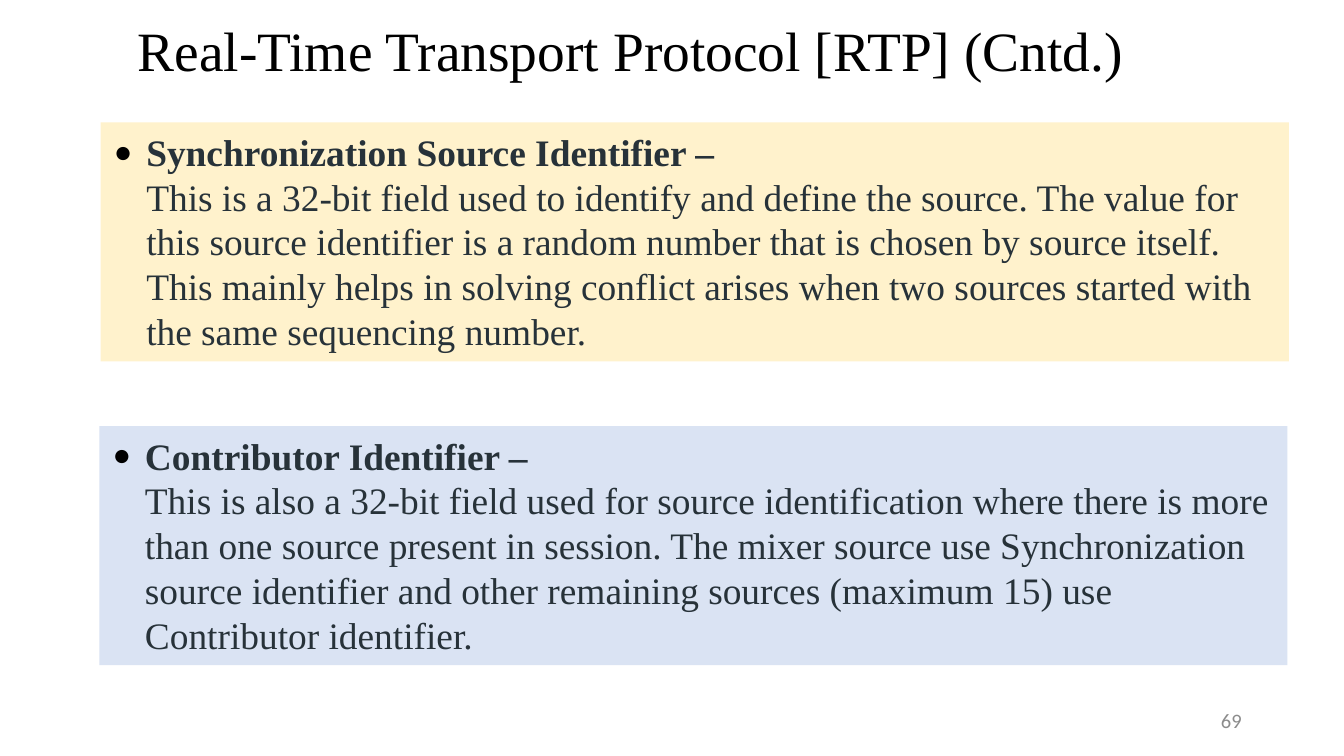
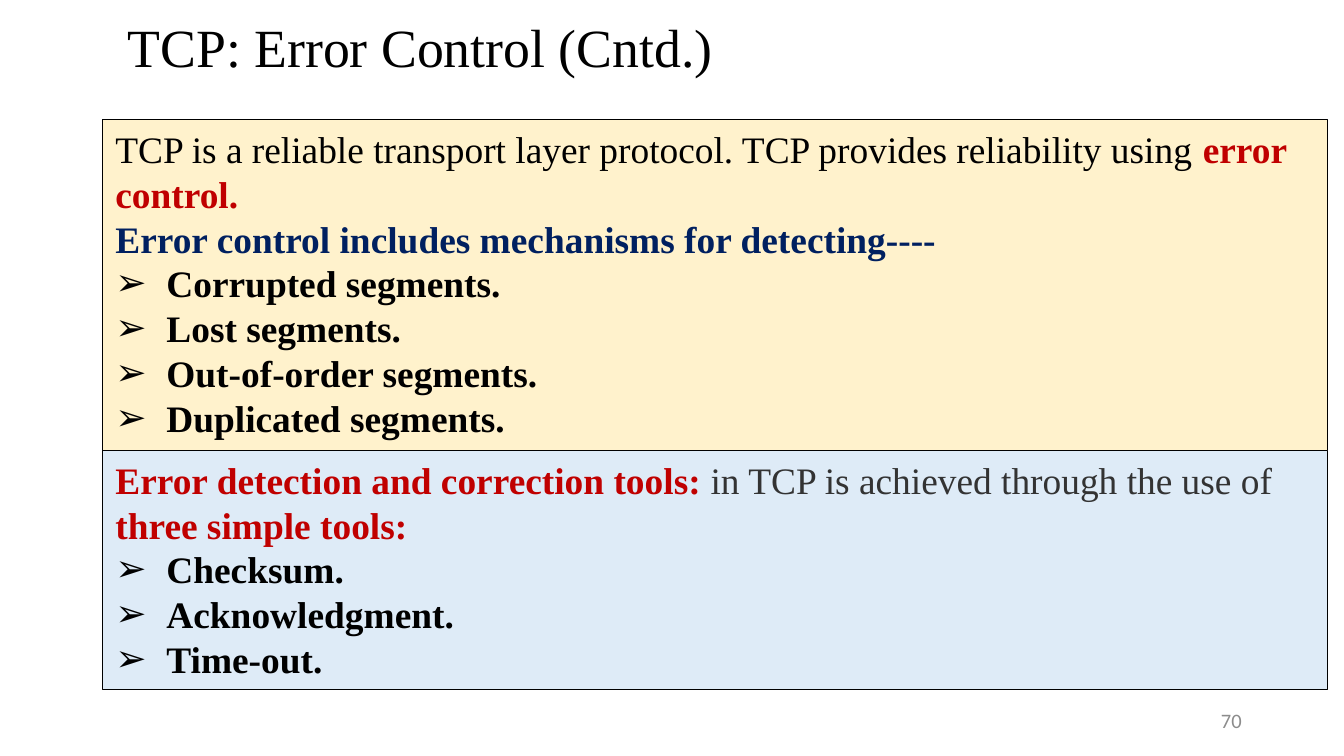
from dataclasses import dataclass

from lxml.etree import SubElement
from pptx import Presentation
from pptx.dml.color import RGBColor
from pptx.enum.shapes import MSO_SHAPE
from pptx.enum.text import MSO_ANCHOR as Anchor, MSO_AUTO_SIZE as AutoSize, PP_ALIGN as Align
from pptx.oxml.ns import qn
from pptx.slide import Slide
from pptx.text.text import TextFrame
from pptx.util import Inches, Length, Pt


@dataclass(frozen=True)
class Theme:
    serif: str = "Times New Roman"
    sans: str = "Calibri"
    body_size: float = 20
    number_size: float = 11
    black: str = "000000"
    slate: str = "273239"
    charcoal: str = "333333"
    gray: str = "8C8C8C"
    red: str = "C00000"
    navy: str = "002060"
    cream: str = "FFF2CC"
    lavender: str = "DAE3F3"
    sky: str = "DEEBF7"


THEME = Theme()


@dataclass(frozen=True)
class Span:
    text: str
    color: str = THEME.black
    bold: bool = False
    size: float = THEME.body_size
    font: str = THEME.serif
    break_after: bool = False


@dataclass(frozen=True)
class Para:
    spans: tuple[Span, ...]
    bullet: str = ""
    indent: float = 0
    align: Align = Align.LEFT
    line_spacing: float = 1.0


@dataclass(frozen=True)
class Area:
    left: float
    top: float
    width: float
    height: float

    def lengths(self) -> tuple[Length, ...]:
        return tuple(Inches(side) for side in (self.left, self.top, self.width, self.height))


@dataclass(frozen=True)
class Panel:
    area: Area
    fill: str
    paras: tuple[Para, ...]
    outlined: bool = False


@dataclass(frozen=True)
class Page:
    number: int
    title: str
    title_area: Area
    title_size: float
    title_align: Align
    panels: tuple[Panel, ...]


NUMBER_AREA = Area(7.06, 5.21, 2.25, 0.3)


def definition(term: str, meaning: str) -> tuple[Para, ...]:
    spans = (Span(term, THEME.slate, True, break_after=True), Span(meaning, THEME.slate))
    return (Para(spans, "•", 0.24),)


def arrow_list(*items: str) -> tuple[Para, ...]:
    return tuple(Para((Span(item, bold=True),), "➢", 0.38) for item in items)


PAGES = (
    Page(
        69, "Real-Time Transport Protocol [RTP] (Cntd.)", Area(0.83, 0.12, 7.73, 0.55), 29.7, Align.CENTER,
        (
            Panel(Area(0.74, 3.17, 8.84, 1.78), THEME.lavender, definition(
                "Contributor Identifier –",
                "This is also a 32-bit field used for source identification where there is more than one "
                "source present in session. The mixer source use Synchronization source identifier and "
                "other remaining sources (maximum 15) use Contributor identifier.",
            )),
            Panel(Area(0.75, 0.91, 8.84, 1.78), THEME.cream, definition(
                "Synchronization Source Identifier –",
                "This is a 32-bit field used to identify and define the source. The value for this source "
                "identifier is a random number that is chosen by source itself. This mainly helps in "
                "solving conflict arises when two sources started with the same sequencing number.",
            )),
        ),
    ),
    Page(
        70, "TCP: Error Control (Cntd.)", Area(0.88, 0.13, 8.5, 0.48), 28.8, Align.LEFT,
        (
            Panel(Area(0.76, 0.89, 9.12, 2.46), THEME.cream, (
                Para((
                    Span("TCP is a reliable transport layer protocol. TCP provides reliability using "),
                    Span("error control.", THEME.red, True),
                )),
                Para((Span("Error control includes mechanisms for detecting----", THEME.navy, True),)),
                *arrow_list("Corrupted segments.", "Lost segments.",
                            "Out-of-order segments.", "Duplicated segments."),
            ), True),
            Panel(Area(0.76, 3.35, 9.12, 1.78), THEME.sky, (
                Para((
                    Span("Error detection and correction tools: ", THEME.red, True),
                    Span("in TCP is achieved through the use of ", THEME.charcoal),
                    Span("three simple tools: ", THEME.red, True),
                )),
                *arrow_list("Checksum.", "Acknowledgment.", "Time-out."),
            ), True),
        ),
    ),
)


def write_paras(frame: TextFrame, paras: tuple[Para, ...]) -> None:
    frame.word_wrap = True
    for index, para in enumerate(paras):
        paragraph = frame.add_paragraph() if index else frame.paragraphs[0]
        paragraph.alignment = para.align
        paragraph.line_spacing = para.line_spacing
        if para.bullet:
            properties = paragraph._p.get_or_add_pPr()
            properties.set("marL", str(Inches(para.indent)))
            properties.set("indent", str(-Inches(para.indent)))
            bullet_color = SubElement(properties, qn("a:buClr"))
            SubElement(bullet_color, qn("a:srgbClr"), val=THEME.black)
            SubElement(properties, qn("a:buFont"), typeface=THEME.sans)
            SubElement(properties, qn("a:buChar"), char=para.bullet)
        for span in para.spans:
            run = paragraph.add_run()
            run.text = span.text
            run.font.name = span.font
            run.font.size = Pt(span.size)
            run.font.bold = span.bold
            run.font.color.rgb = RGBColor.from_string(span.color)
            if span.break_after:
                paragraph.add_line_break()


def add_label(slide: Slide, area: Area, para: Para) -> None:
    frame = slide.shapes.add_textbox(*area.lengths()).text_frame
    frame.vertical_anchor = Anchor.MIDDLE
    frame.margin_left = frame.margin_right = Inches(0.07)
    frame.margin_top = frame.margin_bottom = Inches(0.04)
    write_paras(frame, (para,))


def add_panel(slide: Slide, panel: Panel) -> None:
    box = slide.shapes.add_shape(MSO_SHAPE.RECTANGLE, *panel.area.lengths())
    box.shadow.inherit = False
    box.fill.solid()
    box.fill.fore_color.rgb = RGBColor.from_string(panel.fill)
    if panel.outlined:
        box.line.color.rgb = RGBColor.from_string(THEME.black)
        box.line.width = Pt(0.5)
    else:
        box.line.fill.background()
    box.text_frame.vertical_anchor = Anchor.TOP
    box.text_frame.auto_size = AutoSize.SHAPE_TO_FIT_TEXT
    write_paras(box.text_frame, panel.paras)


def main() -> None:
    deck = Presentation()
    deck.slide_width = Inches(10)
    deck.slide_height = Inches(10) * 9 // 16
    for page in PAGES:
        slide = deck.slides.add_slide(deck.slide_layouts[6])
        number = Span(str(page.number), THEME.gray, size=THEME.number_size, font=THEME.sans)
        add_label(slide, NUMBER_AREA, Para((number,), align=Align.RIGHT))
        title = Span(page.title, size=page.title_size)
        add_label(slide, page.title_area, Para((title,), align=page.title_align, line_spacing=0.9))
        for panel in page.panels:
            add_panel(slide, panel)
    deck.save("out.pptx")


if __name__ == "__main__":
    main()
